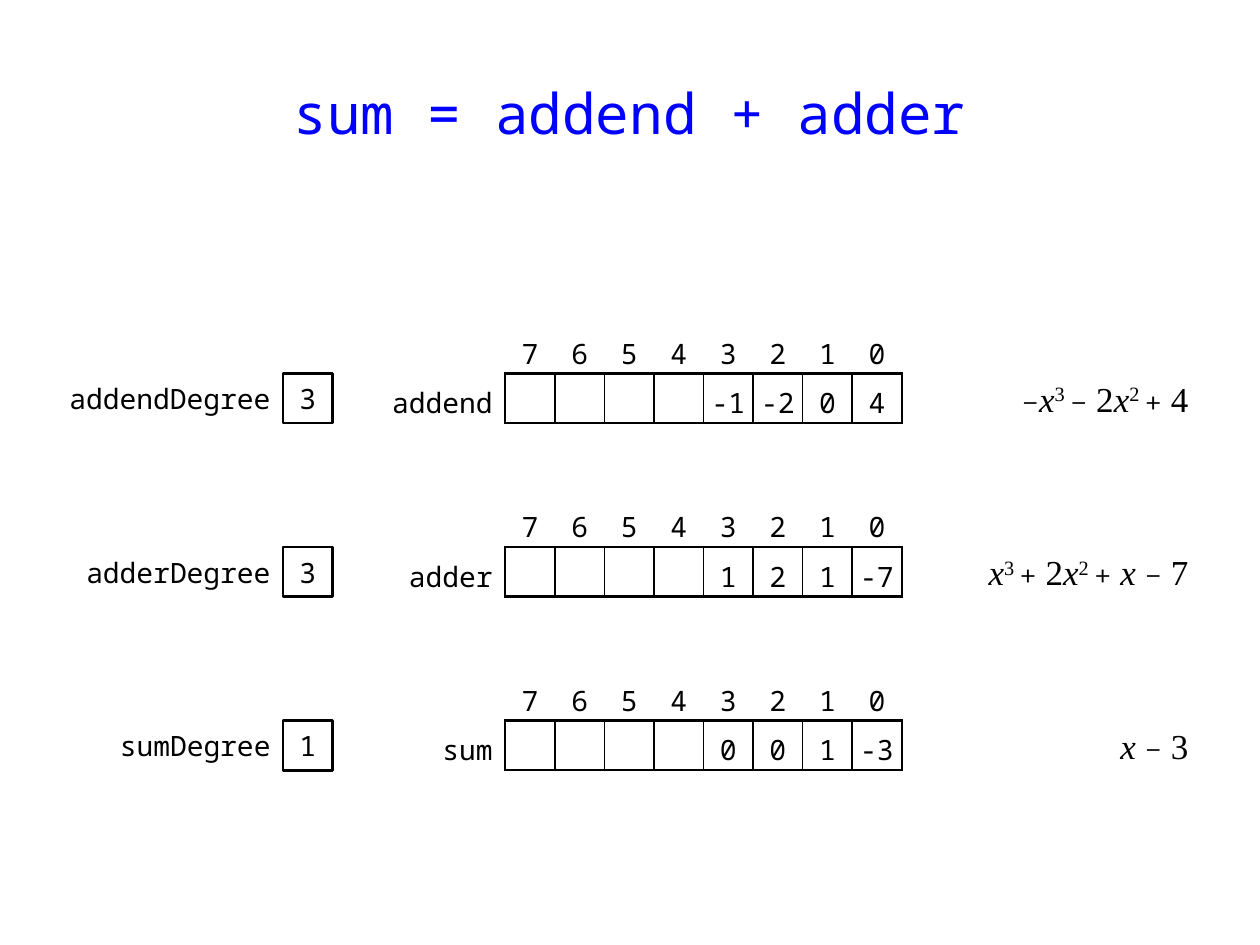
from lxml.etree import SubElement
from pptx import Presentation
from pptx.dml.color import RGBColor
from pptx.enum.shapes import MSO_SHAPE as Shape
from pptx.enum.text import MSO_ANCHOR as Anchor, PP_ALIGN as Align
from pptx.oxml.ns import qn
from pptx.util import Inches, Pt

BLACK = RGBColor(0, 0, 0)
BLUE = RGBColor(0, 0, 255)
WHITE = RGBColor(255, 255, 255)

CELL = Inches(1 / 2.54)
PAD = Inches(0.1)
COEFFICIENTS = 8
NO_STYLE = "{2D5ABB26-0587-4C30-8999-92F81FD0307C}"

MONO = {"name": "Noto Sans Mono", "size": Pt(16)}
TITLE = {"name": "Noto Sans Mono", "size": Pt(32)}
NUMBER = {"name": "Times New Roman", "size": Pt(20)}
VARIABLE = {**NUMBER, "italic": True}
SIGN = {"name": "Cambria", "size": Pt(18)}
POWER = {**NUMBER, "raised": True}

POLYNOMIALS = [
    ("addend", "3", ["-1", "-2", "0", "4"],
     [("−", SIGN), ("x", VARIABLE), ("3 ", POWER), ("−", SIGN), (" 2", NUMBER),
      ("x", VARIABLE), ("2 ", POWER), ("+", SIGN), (" 4", NUMBER)]),
    ("adder", "3", ["1", "2", "1", "-7"],
     [("x", VARIABLE), ("3 ", POWER), ("+", SIGN), (" 2", NUMBER),
      ("x", VARIABLE), ("2 ", POWER), ("+", SIGN), (" ", NUMBER),
      ("x ", VARIABLE), ("−", SIGN), (" 7", NUMBER)]),
    ("sum", "1", ["0", "0", "1", "-3"],
     [("x ", VARIABLE), ("−", SIGN), (" 3", NUMBER)]),
]


def write_spans(frame, spans, align, color=BLACK):
    para = frame.paragraphs[0]
    para.alignment = align
    for text, style in spans:
        span = para.add_run()
        span.text = text
        span.font.color.rgb = color
        for key, value in style.items():
            if key == "raised":
                span.font._element.set("baseline", "30000")
            else:
                setattr(span.font, key, value)
    return para


def set_frame(frame, side):
    settings = {"word_wrap": True, "vertical_anchor": Anchor.MIDDLE,
                "margin_left": side, "margin_right": side,
                "margin_top": 0, "margin_bottom": 0}
    for key, value in settings.items():
        setattr(frame, key, value)


def add_text(page, box, spans, align, color=BLACK):
    frame = page.shapes.add_textbox(*box).text_frame
    set_frame(frame, PAD)
    write_spans(frame, spans, align, color)


def add_degree(page, box, name, degree):
    left, top, width, height = box
    add_text(page, (left, top, width - CELL, height),
             [(name + "Degree", MONO)], Align.RIGHT)
    square = page.shapes.add_shape(
        Shape.RECTANGLE, left + width - CELL, top, CELL, height)
    square.shadow.inherit = False
    square.fill.solid()
    square.fill.fore_color.rgb = WHITE
    square.line.color.rgb = BLACK
    square.line.width = Pt(1.5)
    set_frame(square.text_frame, 0)
    write_spans(square.text_frame, [(degree, MONO)], Align.CENTER)


def set_borders(cell, widths):
    properties = cell._tc.get_or_add_tcPr()
    for side in "LRTB":
        if side in widths:
            line = SubElement(properties, qn("a:ln" + side), w=str(Pt(widths[side])))
            fill = SubElement(line, qn("a:solidFill"))
            SubElement(fill, qn("a:srgbClr"), val=str(BLACK))


def fill_cell(cell, text, align=Align.CENTER, left=0, right=0):
    settings = {"vertical_anchor": Anchor.MIDDLE, "margin_left": left,
                "margin_right": right, "margin_top": 0, "margin_bottom": 0}
    for key, value in settings.items():
        setattr(cell, key, value)
    if text:
        write_spans(cell.text_frame, [(text, MONO)], align).line_spacing = 1.25
    cell.fill.background()


def add_array(page, box, name, values):
    left, top, width, height = box
    table = page.shapes.add_table(2, COEFFICIENTS + 1, *box).table
    table._tbl.tblPr.find(qn("a:tableStyleId")).text = NO_STYLE
    table.first_row = table.horz_banding = False
    for row in table.rows:
        row.height = CELL
    for column in table.columns:
        column.width = CELL
    table.columns[0].width = width - COEFFICIENTS * CELL

    fill_cell(table.cell(0, 0), "")
    set_borders(table.cell(1, 0), {"R": 1.5})
    fill_cell(table.cell(1, 0), name, Align.RIGHT, Inches(0.04), PAD)
    padded = [""] * (COEFFICIENTS - len(values)) + values
    for column, value in enumerate(padded, 1):
        fill_cell(table.cell(0, column), str(COEFFICIENTS - column))
        cell = table.cell(1, column)
        set_borders(cell, {"L": 1.5 if column == 1 else 1,
                           "R": 1.5 if column == COEFFICIENTS else 1,
                           "T": 1.5, "B": 1.5})
        fill_cell(cell, value)


def add_polynomial(page, top, name, degree, values, terms):
    middle = top + CELL
    add_degree(page, (Inches(0.28), middle, Inches(2.36), CELL), name, degree)
    add_array(page, (Inches(3.03), top, Inches(4.13), 2 * CELL), name, values)
    add_text(page, (Inches(7.36), middle, Inches(2.17), CELL), terms, Align.RIGHT)


def main():
    deck = Presentation()
    deck.slide_width, deck.slide_height = Inches(10), Inches(7.5)
    page = deck.slides.add_slide(deck.slide_layouts[6])
    title_box = (Inches(0.47), Inches(0.4), Inches(9.06), Inches(0.98))
    add_text(page, title_box, [("sum = addend + adder", TITLE)], Align.CENTER, BLUE)
    for index, polynomial in enumerate(POLYNOMIALS):
        add_polynomial(page, Inches(2.57) + int(3.5 * CELL * index), *polynomial)
    deck.save("out.pptx")


if __name__ == "__main__":
    main()
